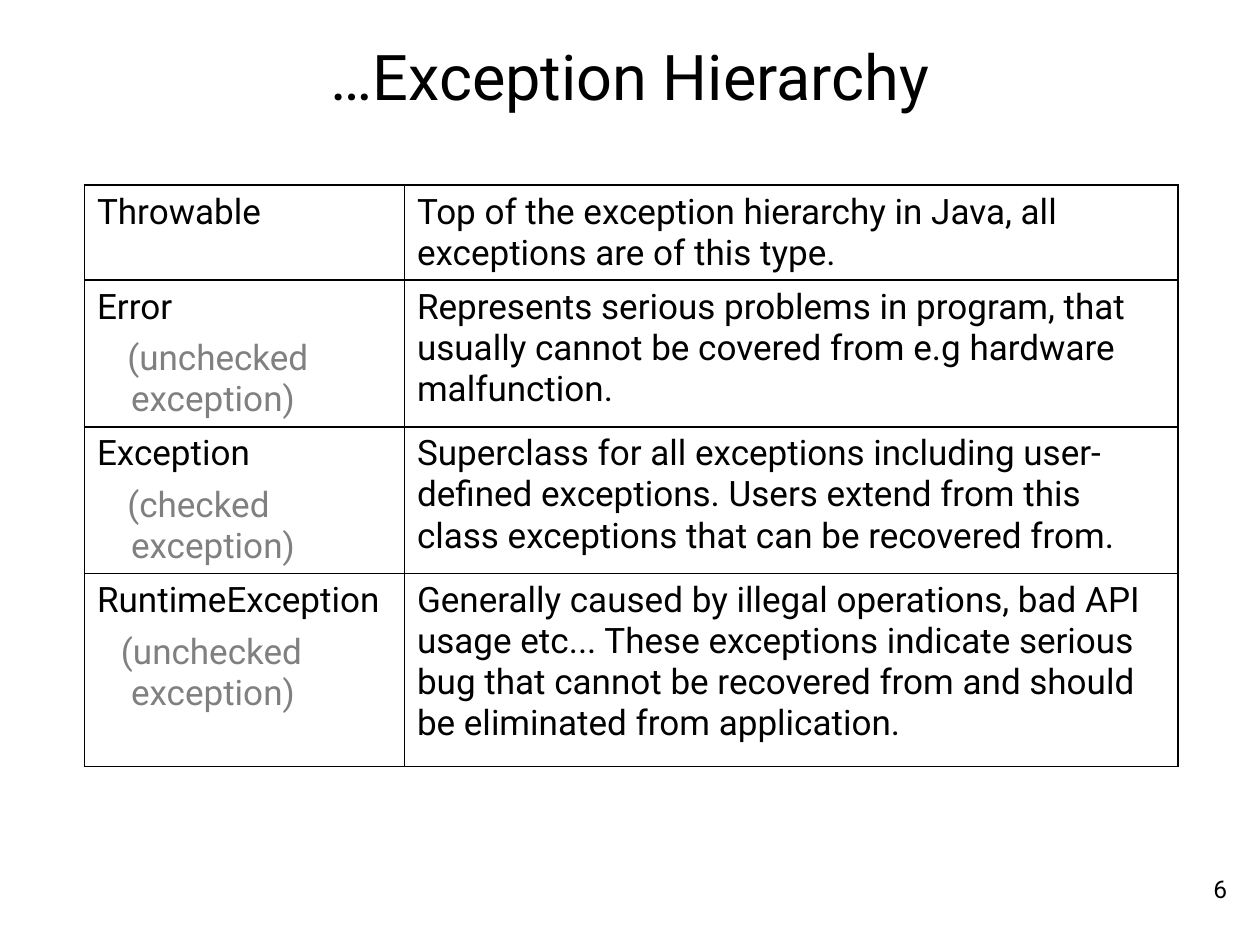
"""Build the exception hierarchy slide."""
from dataclasses import dataclass

from lxml import etree
from pptx import Presentation
from pptx.dml.color import RGBColor as Rgb
from pptx.enum.text import MSO_ANCHOR as Anchor, MSO_AUTO_SIZE as AutoSize, PP_ALIGN as Align
from pptx.oxml.ns import qn
from pptx.util import Inches, Pt


@dataclass(frozen=True)
class Theme:
    """Font, colours and type sizes of the slide."""
    font: str = "Roboto"
    ink: str = "000000"
    muted: str = "808080"
    title: int = 36
    body: int = 20
    small: int = 14
    border: int = 1


ROWS = [
    ("Throwable", None, 0,
     "Top of the exception hierarchy in Java, all exceptions are of this type."),
    ("Error", "(unchecked\vexception)", 0.03,
     "Represents serious problems in program, that usually cannot be covered from "
     "e.g hardware malfunction."),
    ("Exception", "(checked\vexception)", 0.03,
     "Superclass for all exceptions including user-defined exceptions. Users extend "
     "from this class exceptions that can be recovered from."),
    ("RuntimeException", "(unchecked\vexception)", 0.08,
     "Generally caused by illegal operations, bad API usage etc... These exceptions "
     "indicate serious bug that cannot be recovered from and should be eliminated "
     "from application."),
]
ROW_SHARES = [0.1, 0.155, 0.155, 0.204]
COLUMN_SHARES = [0.254, 0.614]
NOTE_INDENT = 0.27


def apply(target, values):
    """Set each attribute of the target from a dict."""
    for name, value in values.items():
        setattr(target, name, value)


class SlideBuilder:
    """Hold the theme and the current slide."""

    def __init__(self, deck, theme):
        """Add a title-only slide to the deck."""
        self.theme = theme
        self.width, self.height = deck.slide_width, deck.slide_height
        self.page = deck.slides.add_slide(deck.slide_layouts[5])

    def area(self, left, top, width, height):
        """Turn shares of the slide into a place and size."""
        return {"left": round(left * self.width), "top": round(top * self.height),
                "width": round(width * self.width), "height": round(height * self.height)}

    def put_text(self, para, text, size, color=None, **layout):
        """Fill a paragraph with text in the theme's font."""
        para.text = text
        apply(para, layout)
        for span in para.runs:
            apply(span.font, {"name": self.theme.font, "size": Pt(size), "bold": False})
            span.font.color.rgb = Rgb.from_string(color or self.theme.ink)

    def frame(self, box, margin, anchor):
        """Set the margins and anchor of a box and return its first paragraph."""
        sides = ("margin_left", "margin_top", "margin_right", "margin_bottom")
        apply(box.text_frame, dict.fromkeys(sides, Inches(margin)))
        apply(box.text_frame, {"word_wrap": True, "auto_size": AutoSize.NONE,
                               "vertical_anchor": anchor})
        return box.text_frame.paragraphs[0]

    def title(self, text, *place):
        """Place and fill the title."""
        box = self.page.shapes.title
        apply(box, self.area(*place))
        para = self.frame(box, 0.06, Anchor.MIDDLE)
        self.put_text(para, text, self.theme.title, alignment=Align.CENTER)

    def number(self, text, *place):
        """Add the page number."""
        box = self.page.shapes.add_textbox(**self.area(*place))
        para = self.frame(box, 0, Anchor.TOP)
        self.put_text(para, text, self.theme.small, alignment=Align.RIGHT)

    def border(self, cell):
        """Draw a thin line on all four sides of a cell."""
        props = cell._tc.get_or_add_tcPr()
        for place, side in enumerate(("lnL", "lnR", "lnT", "lnB")):
            line = etree.Element(qn(f"a:{side}"), w=str(Pt(self.theme.border)))
            fill = etree.SubElement(line, qn("a:solidFill"))
            etree.SubElement(fill, qn("a:srgbClr"), val=self.theme.ink)
            props.insert(place, line)

    def note(self, cell, text, hang):
        """Add a muted, indented note under a cell's name."""
        para = cell.text_frame.add_paragraph()
        props = para._p.get_or_add_pPr()
        props.set("marL", str(Inches(NOTE_INDENT)))
        props.set("indent", str(-Inches(hang)))
        self.put_text(para, text, self.theme.body, self.theme.muted,
                      space_before=Pt(3), space_after=Pt(3))

    def table(self, rows, left, top):
        """Add the table of exception types."""
        place = self.area(left, top, sum(COLUMN_SHARES), sum(ROW_SHARES))
        grid = self.page.shapes.add_table(len(rows), len(COLUMN_SHARES), **place).table
        apply(grid, {"first_row": False, "horz_banding": False})
        for column, share in zip(grid.columns, COLUMN_SHARES):
            column.width = round(share * self.width)
        for line, share, (name, note, hang, meaning) in zip(grid.rows, ROW_SHARES, rows):
            line.height = round(share * self.height)
            for cell, text in zip(line.cells, (name, meaning)):
                cell.fill.background()
                self.border(cell)
                self.put_text(cell.text_frame.paragraphs[0], text, self.theme.body,
                              space_after=Pt(3))
            if note:
                self.note(line.cells[0], note, hang)


def main():
    """Build and save the deck."""
    deck = Presentation()
    apply(deck, {"slide_width": Inches(10), "slide_height": Inches(7.5)})
    slide = SlideBuilder(deck, Theme())
    slide.number("6", 0.717, 0.925, 0.257, 0.047)
    slide.title("…Exception Hierarchy", 0.05, 0, 0.9, 0.159)
    slide.table(ROWS, 0.067, 0.196)
    deck.save("out.pptx")


if __name__ == "__main__":
    main()
